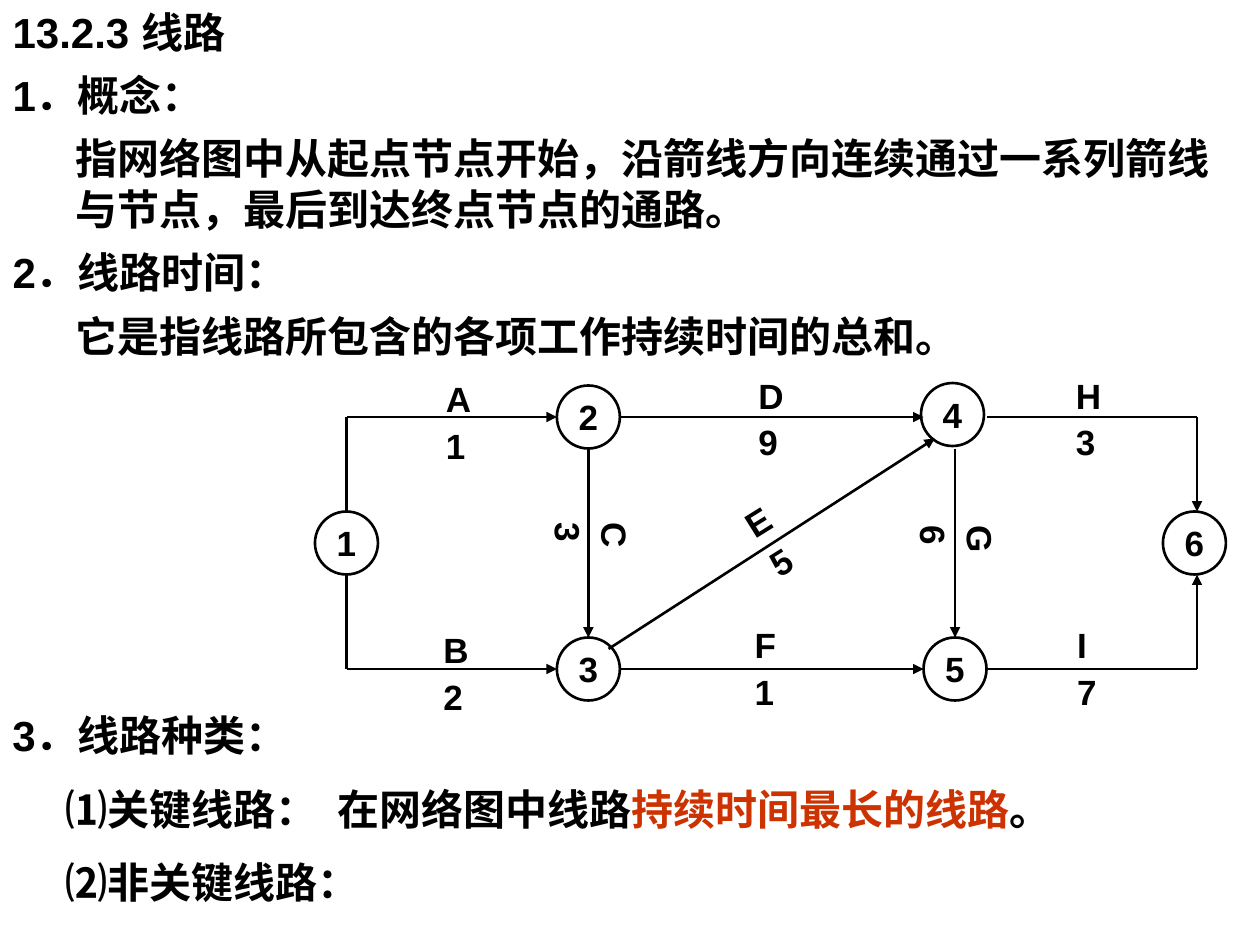
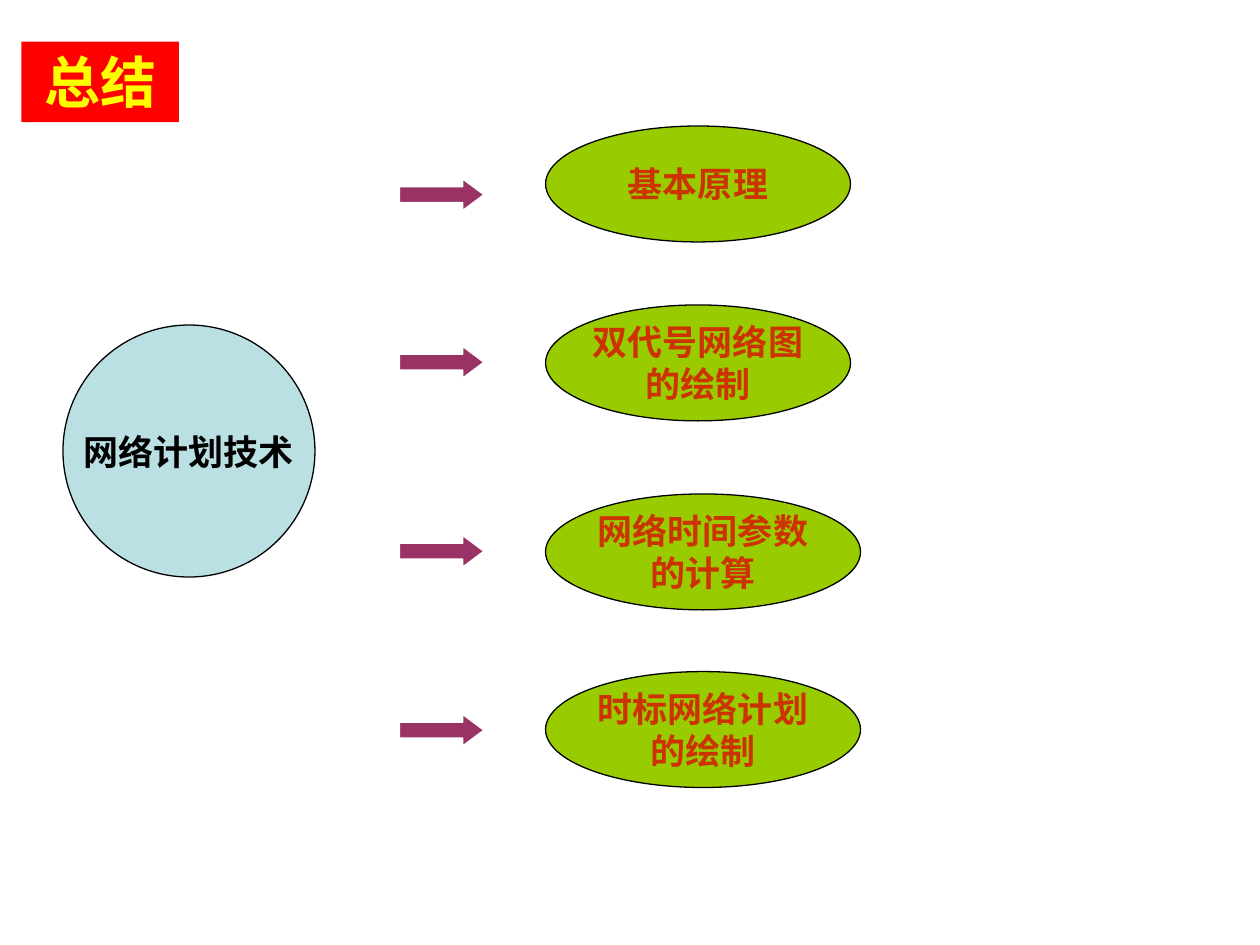
from math import cos, radians, sin
from typing import NamedTuple

from pptx import Presentation
from pptx.dml.color import RGBColor
from pptx.enum.shapes import MSO_CONNECTOR, MSO_SHAPE
from pptx.enum.text import MSO_ANCHOR, MSO_AUTO_SIZE, PP_ALIGN
from pptx.oxml.ns import qn
from pptx.util import Inches, Pt

BLACK = RGBColor(0x00, 0x00, 0x00)
WHITE = RGBColor(0xFF, 0xFF, 0xFF)
RED = RGBColor(0xFF, 0x00, 0x00)
YELLOW = RGBColor(0xFF, 0xFF, 0x00)
RUST = RGBColor(0xCC, 0x33, 0x00)
PALE_BLUE = RGBColor(0xBB, 0xE0, 0xE3)
GREEN = RGBColor(0x99, 0xCC, 0x00)
PLUM = RGBColor(0x99, 0x33, 0x66)

STRAIGHT = MSO_CONNECTOR.STRAIGHT
OVAL = MSO_SHAPE.OVAL
RIGHT_ARROW = MSO_SHAPE.RIGHT_ARROW
LEFT, CENTER = PP_ALIGN.LEFT, PP_ALIGN.CENTER
TOP, MIDDLE = MSO_ANCHOR.TOP, MSO_ANCHOR.MIDDLE
NO_FIT = MSO_AUTO_SIZE.NONE

FONT = "Arial"
NODE_SIZE = 0.5
LABEL_HEIGHT = 0.44
NAME_WIDTH, DAYS_WIDTH = 0.42, 0.58
DAYS_OFFSET = (0.08, 0.37)  # from the name's centre, before rotation


class Box(NamedTuple):
    left: float
    top: float
    width: float
    height: float


class Node(NamedTuple):
    number: str
    left: float
    top: float


class Line(NamedTuple):
    x1: float
    y1: float
    x2: float
    y2: float
    arrow: bool = True


class Activity(NamedTuple):
    name: str
    days: str
    x: float
    y: float
    rotation: int = 0


class Note(NamedTuple):
    box: Box
    phrases: list[tuple[str, RGBColor]]


class Topic(NamedTuple):
    text: str
    top: float
    width: float
    arrow_top: float


SECTIONS = [
    ("1．概念：", 0),
    ("指网络图中从起点节点开始，沿箭线方向连续通过一系列箭线与节点，最后到达终点节点的通路。", 0.5),
    ("2．线路时间：", 0),
    ("它是指线路所包含的各项工作持续时间的总和。", 0.5),
]
NODES = [
    Node("1", 2.5, 4.06), Node("2", 4.42, 3.06), Node("3", 4.42, 5.06),
    Node("4", 7.31, 3.04), Node("5", 7.33, 5.06), Node("6", 9.23, 4.06),
]
LINES = [
    Line(2.75, 4.06, 2.75, 3.31, False), Line(2.75, 3.31, 4.42, 3.31),
    Line(2.75, 4.56, 2.75, 5.31, False), Line(2.75, 5.31, 4.42, 5.31),
    Line(4.67, 3.56, 4.67, 5.06), Line(7.58, 3.56, 7.58, 5.06),
    Line(4.92, 3.31, 7.33, 3.31), Line(4.92, 5.31, 7.33, 5.31),
    Line(4.83, 5.15, 7.42, 3.48),
    Line(7.83, 3.31, 9.5, 3.31, False), Line(9.5, 3.31, 9.5, 4.06),
    Line(7.83, 5.31, 9.5, 5.31, False), Line(9.5, 5.31, 9.5, 4.56),
]
ACTIVITIES = [
    Activity("A", "1", 3.65, 3.17), Activity("B", "2", 3.63, 5.16),
    Activity("C", "3", 4.88, 4.26, 90), Activity("D", "9", 6.13, 3.14),
    Activity("E", "5", 6.03, 4.13, 328), Activity("F", "1", 6.1, 5.12),
    Activity("G", "6", 7.78, 4.28, 90), Activity("H", "3", 8.65, 3.14),
    Activity("I", "7", 8.66, 5.12),
]
NOTES = [
    Note(Box(0, 5.58, 4.25, 0.5), [("3．线路种类：", BLACK)]),
    Note(Box(0.42, 6.17, 2.67, 0.5), [("⑴关键线路：", BLACK)]),
    Note(Box(2.58, 6.17, 6.33, 0.5),
         [("在网络图中线路", BLACK), ("持续时间最长的线路", RUST), ("。", BLACK)]),
    Note(Box(0.42, 6.75, 3.5, 0.5), [("⑵非关键线路：", BLACK)]),
]
TOPICS = [
    Topic("基本原理", 1, 2.42, 1.42),
    Topic("双代号网络图\n的绘制", 2.42, 2.42, 2.75),
    Topic("网络时间参数\n的计算", 3.92, 2.5, 4.25),
    Topic("时标网络计划\n的绘制", 5.33, 2.5, 5.67),
]


def inches(box: Box) -> list[int]:
    return [Inches(value) for value in box]


def format_run(r, size: float, color: RGBColor) -> None:
    r.font.name = FONT
    r.font.size = Pt(size)
    r.font.bold = True
    r.font.color.rgb = color


def format_text(tf, size: float, color: RGBColor, align=LEFT, anchor=TOP) -> None:
    tf.vertical_anchor = anchor
    tf.auto_size = NO_FIT
    for p in tf.paragraphs:
        p.alignment = align
        for r in p.runs:
            format_run(r, size, color)


def place(sp, box: Box) -> None:
    sp.left, sp.top, sp.width, sp.height = inches(box)


def set_title(slide, text: str, box: Box, size: float, color: RGBColor, align):
    sp = slide.shapes.title
    place(sp, box)
    sp.text_frame.text = text
    format_text(sp.text_frame, size, color, align)
    return sp


def add_shape(slide, kind, box: Box, fill: RGBColor | None, line: RGBColor,
              weight: float = 0.75):
    sp = slide.shapes.add_shape(kind, *inches(box))
    sp.shadow.inherit = False
    if fill is None:
        sp.fill.background()
    else:
        sp.fill.solid()
        sp.fill.fore_color.rgb = fill
    sp.line.color.rgb = line
    sp.line.width = Pt(weight)
    return sp


def add_oval(slide, box: Box, text: str, fill: RGBColor | None, color: RGBColor,
             weight: float = 0.75) -> None:
    sp = add_shape(slide, OVAL, box, fill, BLACK, weight)
    tf = sp.text_frame
    tf.text = text
    tf.word_wrap = False
    format_text(tf, 20, color, CENTER, MIDDLE)


def add_line(slide, line: Line) -> None:
    ends = [Inches(value) for value in line[:4]]
    c = slide.shapes.add_connector(STRAIGHT, *ends)
    c.line.color.rgb = BLACK
    c.line.width = Pt(1.5)
    sp_pr = c._element.spPr
    if line.arrow:
        ln = sp_pr.find(qn("a:ln"))
        ln.append(ln.makeelement(qn("a:tailEnd"), {"type": "triangle"}))
    sp_pr.append(sp_pr.makeelement(qn("a:effectLst"), {}))


def add_label(slide, text: str, x: float, y: float, width: float, rotation: int) -> None:
    """Draw a diagram label centred on (x, y)."""
    box = Box(x - width / 2, y - LABEL_HEIGHT / 2, width, LABEL_HEIGHT)
    sp = slide.shapes.add_textbox(*inches(box))
    sp.rotation = rotation
    sp.text_frame.word_wrap = True
    sp.text_frame.text = text
    format_text(sp.text_frame, 20, BLACK)


def add_activity(slide, activity: Activity) -> None:
    """Draw the name and, turned about it by the same angle, the duration."""
    name, days, x, y, rotation = activity
    angle = radians(rotation)
    dx, dy = DAYS_OFFSET
    add_label(slide, name, x, y, NAME_WIDTH, rotation)
    add_label(slide, days, x + dx * cos(angle) - dy * sin(angle),
              y + dx * sin(angle) + dy * cos(angle), DAYS_WIDTH, rotation)


def add_note(slide, note: Note) -> None:
    tf = slide.shapes.add_textbox(*inches(note.box)).text_frame
    tf.word_wrap = True
    for text, color in note.phrases:
        r = tf.paragraphs[0].add_run()
        r.text = text
        format_run(r, 24, color)


def fill_sections(body) -> None:
    place(body, Box(0, 0.5, 9.8, 2.42))
    tf = body.text_frame
    tf.text = "\n".join(text for text, _ in SECTIONS)
    for i, (p, (_, indent)) in enumerate(zip(tf.paragraphs, SECTIONS)):
        p_pr = p._p.get_or_add_pPr()
        p_pr.set("marL", str(Inches(indent)))
        p_pr.set("indent", "0")
        p_pr.append(p_pr.makeelement(qn("a:buNone"), {}))
        p.space_before = Pt(7.5 if i else 0)
    format_text(tf, 24, BLACK)


def build_path_slide(prs) -> None:
    slide = prs.slides.add_slide(prs.slide_layouts[1])
    set_title(slide, "13.2.3 线路", Box(0, 0, 5.58, 0.5), 24, BLACK, LEFT)
    fill_sections(slide.placeholders[1])
    for number, left, top in NODES:
        add_oval(slide, Box(left, top, NODE_SIZE, NODE_SIZE), number, None, BLACK, 1.5)
    for line in LINES:
        add_line(slide, line)
    for activity in ACTIVITIES:
        add_activity(slide, activity)
    for note in NOTES:
        add_note(slide, note)


def build_summary_slide(prs) -> None:
    slide = prs.slides.add_slide(prs.slide_layouts[5])
    title = set_title(slide, "总结", Box(0.17, 0.33, 1.25, 0.64), 32, YELLOW, CENTER)
    title.fill.solid()
    title.fill.fore_color.rgb = RED
    add_oval(slide, Box(0.5, 2.58, 2, 2), "网络计划技术", PALE_BLUE, BLACK)
    for topic in TOPICS:
        add_oval(slide, Box(4.33, topic.top, topic.width, 0.92), topic.text, GREEN, RUST)
        arrow = add_shape(slide, RIGHT_ARROW, Box(3.17, topic.arrow_top, 0.67, 0.25),
                          PLUM, WHITE)
        arrow.adjustments[1] = 0.67


def main() -> None:
    prs = Presentation()
    prs.slide_width, prs.slide_height = Inches(10), Inches(7.5)
    build_path_slide(prs)
    build_summary_slide(prs)
    prs.save("out.pptx")


if __name__ == "__main__":
    main()
